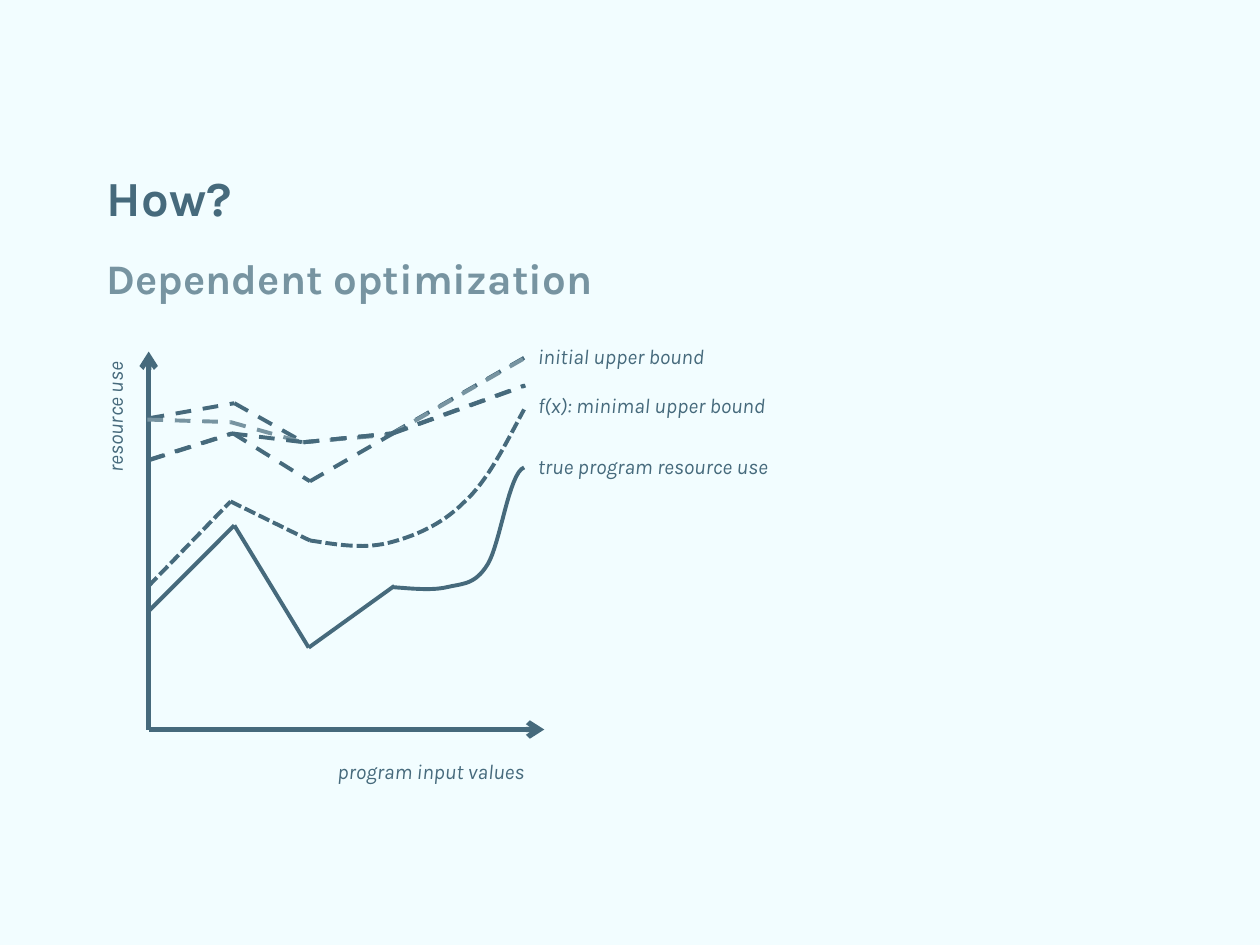
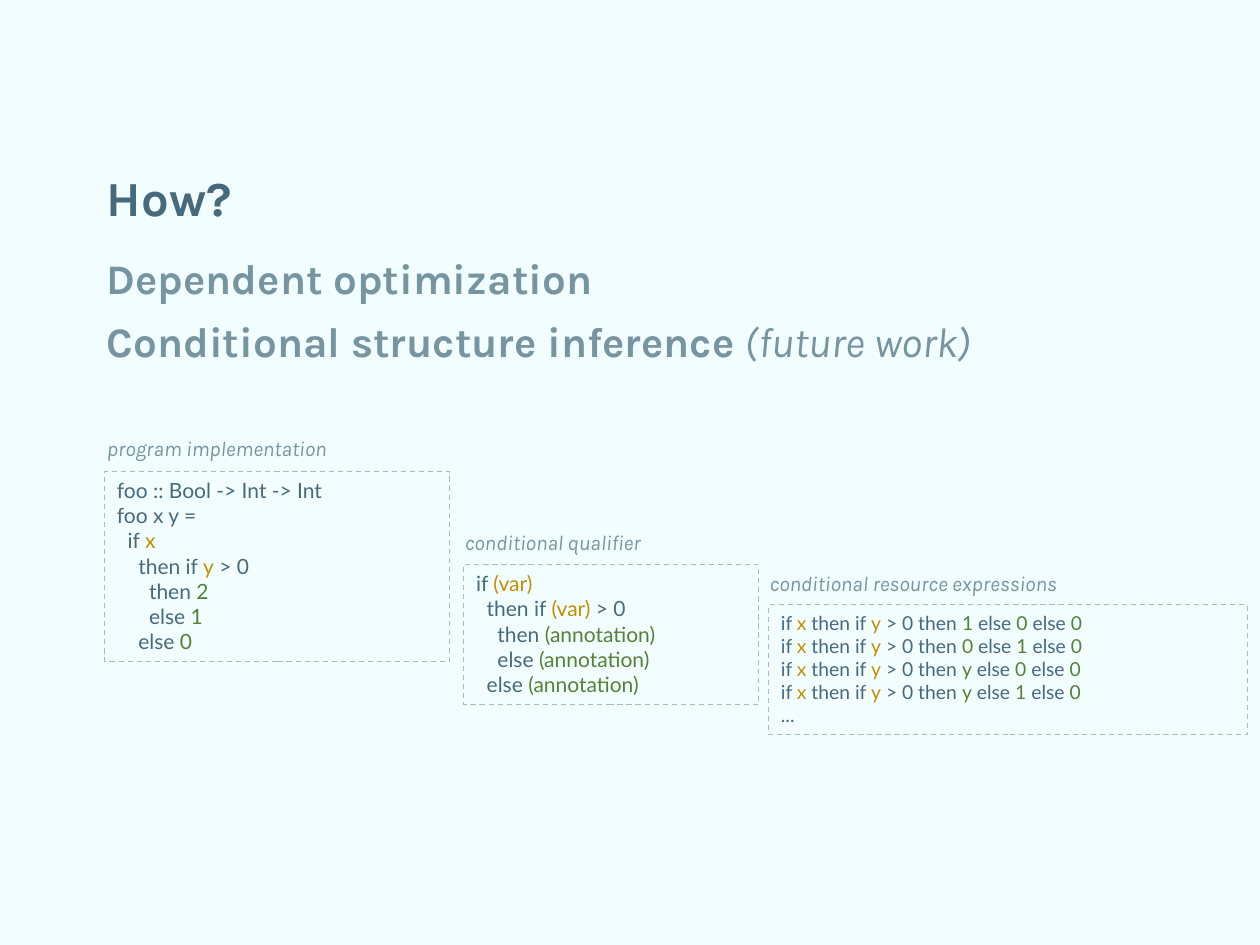
from itertools import pairwise

from lxml import etree
from pptx import Presentation
from pptx.dml.color import RGBColor
from pptx.enum.dml import MSO_LINE
from pptx.enum.shapes import MSO_CONNECTOR, MSO_SHAPE
from pptx.enum.text import MSO_ANCHOR, PP_ALIGN
from pptx.oxml.ns import qn
from pptx.util import Inches, Pt

STRAIGHT = MSO_CONNECTOR.STRAIGHT
RECTANGLE = MSO_SHAPE.RECTANGLE
DASH = MSO_LINE.DASH
DOT = MSO_LINE.SQUARE_DOT
TOP = MSO_ANCHOR.TOP
BOTTOM = MSO_ANCHOR.BOTTOM
LEFT = PP_ALIGN.LEFT

BACKGROUND = "F2FDFF"
DARK = "466A7C"
SOFT = "7794A1"
BORDER = "A6B9C2"
AMBER = "BF9000"
GREEN = "548235"
HEADING_FONT = "Karla"
CODE_FONT = "Lato"
INDENT = 0.085
MARKS = {
    "@": {"color": AMBER},
    "#": {"color": GREEN},
    "/": {"bold": False, "italic": True},
}


def paint(target, value):
    target.rgb = RGBColor.from_string(value)


def add_text(page, lines, area, *, size=12, font=HEADING_FONT, color=DARK,
             bold=False, italic=False, wrap=True, anchor=TOP, spacing=None,
             before=None, framed=False):
    area = [Inches(value) for value in area]
    if framed:
        box = page.shapes.add_shape(RECTANGLE, *area)
        box.shadow.inherit = False
        box.fill.background()
        paint(box.line.color, BORDER)
        box.line.width = Pt(0.75)
        box.line.dash_style = DASH
    else:
        box = page.shapes.add_textbox(*area)
    frame = box.text_frame
    frame.word_wrap = wrap
    frame.vertical_anchor = anchor
    for index, line in enumerate(lines):
        para = frame.paragraphs[0] if index == 0 else frame.add_paragraph()
        para.alignment = LEFT
        para.line_spacing = spacing
        para.space_before = before
        depth = len(line) - len(line.lstrip(">"))
        if depth:
            para._p.get_or_add_pPr().set("marL", str(Inches(INDENT * depth)))
        for piece in line[depth:].split("|"):
            style = {"color": color, "bold": bold, "italic": italic}
            if piece[0] in MARKS:
                style.update(MARKS[piece[0]])
                piece = piece[1:]
            span = para.add_run()
            span.text = piece
            span.font.name = font
            span.font.size = Pt(size)
            span.font.bold = style["bold"]
            span.font.italic = style["italic"]
            paint(span.font.color, style["color"])
    return box


deck = Presentation()
deck.slide_width = Inches(10)
deck.slide_height = Inches(7.5)
subtitle = {"size": 24, "color": SOFT, "bold": True, "spacing": 0.9, "before": Pt(10)}

pages = []
for number in range(2):
    page = deck.slides.add_slide(deck.slide_layouts[6])
    page.background.fill.solid()
    paint(page.background.fill.fore_color, BACKGROUND)
    add_text(page, ["Dependent optimization"], (0.75, 2, 8.49, 0.49), **subtitle)
    add_text(page, ["How?"], (0.75, 0.4, 8.49, 1.45), size=28, bold=True,
             anchor=BOTTOM, spacing=0.9)
    pages.append(page)
plot_page, code_page = pages

origin = (1.18, 5.79)
plot_lines = [
    (DARK, 3, None, True, [origin, (1.18, 2.79)]),
    (DARK, 3, None, True, [origin, (4.32, 5.79)]),
    (DARK, 2.25, None, False, [(1.18, 4.85), (1.86, 4.17), (2.45, 5.14), (3.13, 4.65)]),
    (DARK, 2.25, DOT, False, [(1.18, 4.65), (1.83, 3.98), (2.46, 4.29)]),
    (DARK, 2.25, DASH, False,
     [(1.18, 3.32), (1.86, 3.2), (2.41, 3.51), (3.11, 3.44), (4.16, 2.84)]),
    (SOFT, 2.25, DASH, False,
     [(1.17, 3.33), (1.83, 3.35), (2.4, 3.51), (3.1, 3.45), (4.15, 2.85)]),
    (DARK, 2.25, DASH, False,
     [(1.18, 3.65), (1.84, 3.44), (2.41, 3.51), (3.11, 3.44), (4.16, 3.06)]),
    (DARK, 2.25, DASH, False,
     [(1.19, 3.65), (1.85, 3.44), (2.46, 3.82), (3.12, 3.44), (4.17, 3.06)]),
]
for color, width, dash, arrow, points in plot_lines:
    for start, end in pairwise(points):
        segment = plot_page.shapes.add_connector(
            STRAIGHT, *[Inches(value) for value in start + end])
        paint(segment.line.color, color)
        segment.line.width = Pt(width)
        if dash:
            segment.line.dash_style = dash
        if arrow:
            etree.SubElement(segment.line._get_or_add_ln(), qn("a:tailEnd"), type="arrow")
        etree.SubElement(segment._element.spPr, qn("a:effectLst"))

curves = [
    (None, [(3.11, 4.66), (3.26, 4.67), (3.42, 4.69), (3.55, 4.66), (3.68, 4.63),
            (3.77, 4.64), (3.87, 4.48), (3.97, 4.32), (4.04, 3.75), (4.16, 3.71)]),
    (DOT, [(2.46, 4.29), (2.66, 4.32), (2.87, 4.36), (3.08, 4.31), (3.28, 4.26),
           (3.5, 4.17), (3.68, 3.99), (3.87, 3.82), (4.01, 3.53), (4.16, 3.25)]),
]
steps = 16
for dash, controls in curves:
    samples = []
    for first in range(0, len(controls) - 1, 3):
        for step in range(1, steps + 1):
            t = step / steps
            weights = ((1 - t) ** 3, 3 * t * (1 - t) ** 2, 3 * t * t * (1 - t), t ** 3)
            samples.append([
                Inches(sum(w * point[axis] for w, point in zip(weights, controls[first:])))
                for axis in (0, 1)])
    outline = plot_page.shapes.build_freeform(*[Inches(value) for value in controls[0]])
    outline.add_line_segments(samples, close=False)
    curve = outline.convert_to_shape()
    curve.shadow.inherit = False
    curve.fill.background()
    paint(curve.line.color, DARK)
    curve.line.width = Pt(2.25)
    if dash:
        curve.line.dash_style = dash

plot_labels = [
    ("program input values", 2.58, 5.97, 1.84, 0),
    ("resource use", 0.33, 3.12, 1.16, 270),
    ("true program resource use", 4.17, 3.55, 2.22, 0),
    ("f(x): minimal upper bound", 4.17, 3.07, 2.17, 0),
    ("initial upper bound", 4.17, 2.68, 1.67, 0),
]
for label, left, top, width, rotation in plot_labels:
    box = add_text(plot_page, [label], (left, top, width, 0.3), italic=True, wrap=False)
    box.rotation = rotation

add_text(code_page, ["Conditional structure inference |/(future work)"],
         (0.75, 2.5, 8.49, 0.49), **subtitle)

expressions = [f"if |@x| then if |@y| > 0 then |#{yes}| else |#{no}| else |#0"
               for yes, no in ("10", "01", "y0", "y1")]
code_blocks = [
    ("program implementation", (0.75, 3.41, 2.74, 0.3), (0.83, 3.74, 2.74, 1.51), 12,
     ["foo :: Bool -> Int -> Int", "foo x y =", ">if |@x", ">>then if |@y| > 0",
      ">>>then |#2", ">>>else |#1", ">>else |#0"]),
    ("conditional qualifier", (3.59, 4.15, 2.42, 0.3), (3.68, 4.48, 2.34, 1.11), 12,
     ["if |@(var)", ">then if |@(var) |> 0", ">>then |#(annotation)",
      ">>else |#(annotation)", ">else |#(annotation)"]),
    ("conditional resource expressions", (6.01, 4.48, 2.74, 0.3), (6.1, 4.8, 3.8, 1.03), 11,
     expressions + ["..."]),
]
for caption, caption_area, code_area, size, code in code_blocks:
    add_text(code_page, [caption], caption_area, color=SOFT, italic=True)
    add_text(code_page, code, code_area, size=size, font=CODE_FONT, framed=True)

deck.save("out.pptx")
